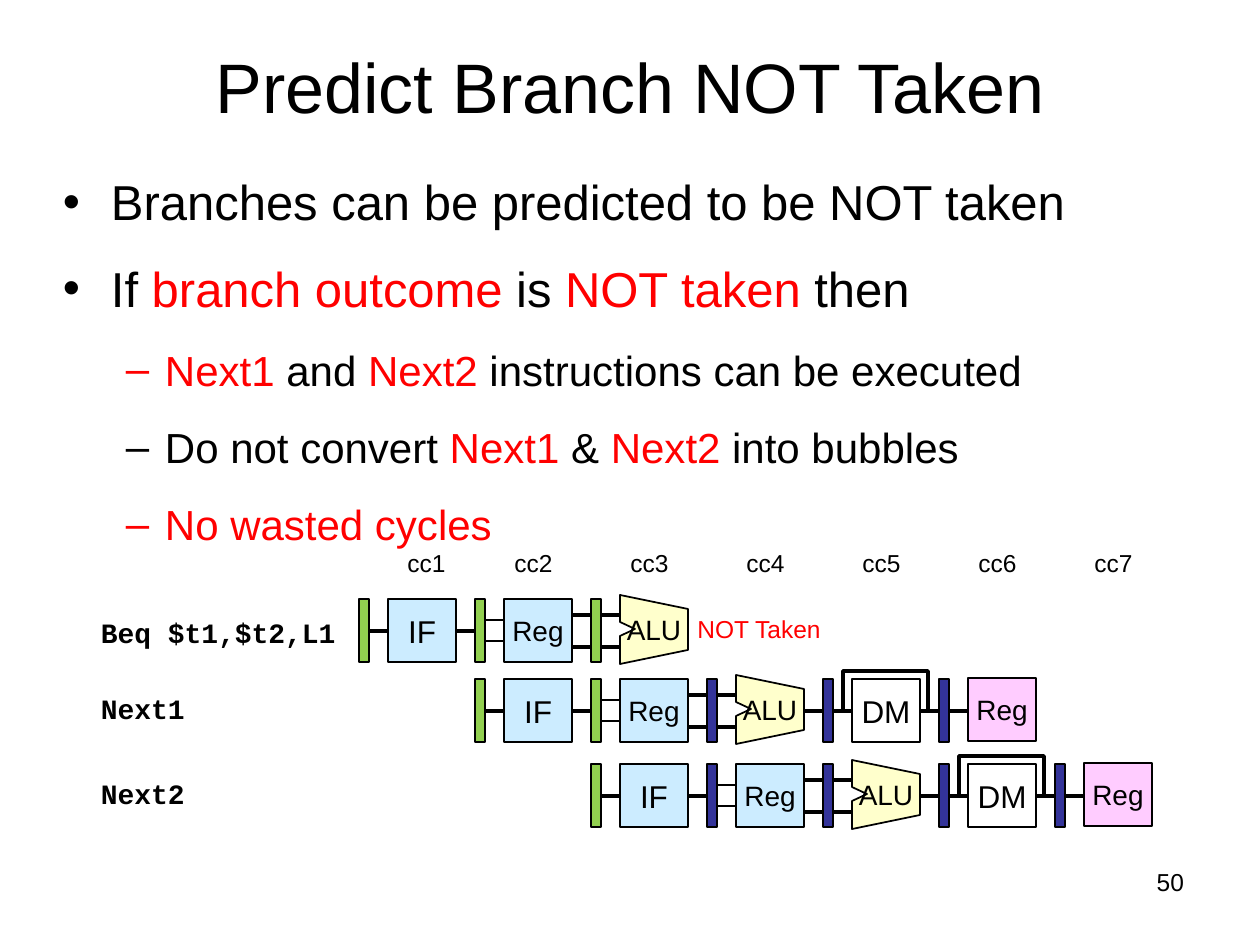
import pptx
import pptx.dml.color
import pptx.enum.shapes
import pptx.enum.text
import pptx.oxml.ns
import pptx.util
from lxml import etree

PX = 914400 / 126
BLACK, RED, GREEN, NAVY = "000000", "FF0000", "92D050", "333399"
BLUE, YELLOW, PINK = "CCECFF", "FFFFCC", "FFCCFF"
PITCH, LATCH, STAGE_X, STAGE_W, STAGE_H = 116, 10, 29, 68, 63
MID, PAIR, THIN_PAIR = 32, (16, 48), (21, 42)
ALIGN = pptx.enum.text.PP_ALIGN
ANCHOR = pptx.enum.text.MSO_ANCHOR


def px(value):
    return pptx.util.Emu(round(value * PX))


def paint(color, value):
    color.rgb = pptx.dml.color.RGBColor.from_string(value)


def apply(target, values):
    for name, value in values.items():
        setattr(target, name, value)


def add_span(para, text, size, color=BLACK, font="Arial", bold=False):
    span = para.add_run()
    span.text = text
    apply(span.font, {"size": pptx.util.Pt(size), "name": font, "bold": bold})
    paint(span.font.color, color)


def set_frame(frame, anchor=ANCHOR.MIDDLE, side=0, edge=0, wrap=True):
    apply(frame, {
        "margin_left": px(side), "margin_right": px(side),
        "margin_top": px(edge), "margin_bottom": px(edge),
        "vertical_anchor": anchor, "word_wrap": wrap,
    })


def add_text(page, box, text, size, align=ALIGN.CENTER, frame={}, **style):
    shape = page.shapes.add_textbox(*map(px, box))
    set_frame(shape.text_frame, **frame)
    para = shape.text_frame.paragraphs[0]
    para.alignment = align
    add_span(para, text, size, **style)


def finish_shape(shape, fill, weight, text="", size=16):
    shape.shadow.inherit = False
    if fill:
        shape.fill.solid()
        paint(shape.fill.fore_color, fill)
    else:
        shape.fill.background()
    paint(shape.line.color, BLACK)
    shape.line.width = pptx.util.Pt(weight)
    if text:
        set_frame(shape.text_frame, wrap=False)
        para = shape.text_frame.paragraphs[0]
        para.alignment = ALIGN.CENTER
        add_span(para, text, size)


def add_block(page, box, fill, text="", size=16):
    kind = pptx.enum.shapes.MSO_SHAPE.RECTANGLE
    shape = page.shapes.add_shape(kind, *map(px, box))
    finish_shape(shape, fill, 0.75, text, size)


def add_outline(page, left, top, points, fill, weight, text="", closed=True):
    corners = [(px(left + x), px(top + y)) for x, y in points]
    builder = page.shapes.build_freeform(*corners[0])
    builder.add_line_segments(corners[1:], close=closed)
    finish_shape(builder.convert_to_shape(), fill, weight, text)


def add_wires(page, left, top, width, heights, weight=2):
    for height in heights:
        y = px(top + height)
        kind = pptx.enum.shapes.MSO_CONNECTOR.STRAIGHT
        wire = page.shapes.add_connector(kind, px(left), y, px(left + width), y)
        paint(wire.line.color, BLACK)
        wire.line.width = pptx.util.Pt(weight)
        properties = wire._element.spPr
        etree.SubElement(properties, pptx.oxml.ns.qn("a:effectLst"))


def add_bullet(para, mark, left, indent):
    properties = para._p.get_or_add_pPr()
    properties.set("marL", str(px(left)))
    properties.set("indent", str(px(indent)))
    font = etree.SubElement(properties, pptx.oxml.ns.qn("a:buFont"))
    font.set("typeface", "Arial")
    etree.SubElement(properties, pptx.oxml.ns.qn("a:buChar")).set("char", mark)


def add_bullets(page, box, lines):
    levels = [("•", 48, -48, 28), ("–", 102, -39, 24)]
    frame = page.shapes.add_textbox(*map(px, box)).text_frame
    set_frame(frame, ANCHOR.TOP, edge=6)
    for index, (level, spans) in enumerate(lines):
        para = frame.add_paragraph() if index else frame.paragraphs[0]
        mark, left, indent, size = levels[level]
        apply(para, {"line_spacing": 1.05,
                     "space_before": pptx.util.Pt(14 if index else 0)})
        add_bullet(para, mark, left, indent)
        for text, color in spans:
            add_span(para, text, size, color)


def add_stage(page, left, top, name, last):
    x = left + STAGE_X
    lead = x - left - LATCH
    exit_x = x + STAGE_W
    exit_w = PITCH - STAGE_X - STAGE_W
    box = (x, top, STAGE_W, STAGE_H)
    entries = {"read": THIN_PAIR, "alu": PAIR}.get(name, [MID])
    add_wires(page, left + LATCH, top, lead, entries,
              0.75 if name == "read" else 2)
    if not last:
        add_wires(page, exit_x, top, exit_w, PAIR if name == "read" else [MID])
    if name == "fetch":
        add_block(page, box, BLUE, "IF", 18)
    elif name == "read":
        add_block(page, box, BLUE, "Reg")
    elif name == "alu":
        notched = [(0, 65), (0, 37), (15, 30), (0, 23), (0, -4), (68, 10), (68, 51)]
        add_outline(page, x, top, notched, YELLOW, 1, "ALU")
    elif name == "memory":
        add_block(page, box, None, "DM", 18)
        bypass = [(20, MID), (20, -8), (105, -8), (105, MID)]
        add_outline(page, left, top, bypass, None, 2, closed=False)
    else:
        add_block(page, (x, top - 1, STAGE_W, STAGE_H), PINK, "Reg")


def add_instruction(page, left, top, start, label, label_drop, stages):
    add_text(page, (101, top + label_drop, 243, 47), label, 16, ALIGN.LEFT,
             {"anchor": ANCHOR.TOP, "edge": 6}, font="Courier New", bold=True)
    for index, name in enumerate(stages):
        column = start + index
        x = left + column * PITCH
        add_stage(page, x, top, name, index == len(stages) - 1)
        add_block(page, (x, top, LATCH, STAGE_H), GREEN if column < 3 else NAVY)


def add_pipeline(page, left, top):
    for cycle in range(7):
        nudge = 29 if cycle == 0 else 20
        add_text(page, (left + cycle * PITCH + nudge, top, 77, 42),
                 f"cc{cycle + 1}", 14)
    stages = ["fetch", "read", "alu", "memory", "write"]
    rows = [("Beq $t1,$t2,L1", 57, 11, 3), ("Next1", 137, 7, 5), ("Next2", 222, 7, 5)]
    for start, (label, drop, label_drop, count) in enumerate(rows):
        add_instruction(page, left, top + drop, start, label, label_drop, stages[:count])
    add_text(page, (left + 335, top + 68, 130, 38), "NOT Taken", 14, color=RED)


def main():
    deck = pptx.Presentation()
    deck.slide_width, deck.slide_height = px(1260), px(945)
    page = deck.slides.add_slide(deck.slide_layouts[6])
    add_text(page, (63, 6, 1134, 158), "Predict Branch NOT Taken", 40)
    add_bullets(page, (63, 163, 1134, 349), [
        (0, [("Branches can be predicted to be NOT taken", BLACK)]),
        (0, [("If ", BLACK), ("branch outcome ", RED), ("is ", BLACK),
             ("NOT taken ", RED), ("then", BLACK)]),
        (1, [("Next1 ", RED), ("and", BLACK), (" Next2", RED),
             (" instructions can be executed", BLACK)]),
        (1, [("Do not convert ", BLACK), ("Next1", RED), (" & ", BLACK),
             ("Next2", RED), (" into bubbles", BLACK)]),
        (1, [("No wasted cycles", RED)]),
    ])
    add_pipeline(page, 359, 542)
    add_text(page, (903, 861, 294, 66), "50", 14, ALIGN.RIGHT,
             {"anchor": ANCHOR.TOP, "side": 13, "edge": 6})
    deck.save("out.pptx")


if __name__ == "__main__":
    main()
